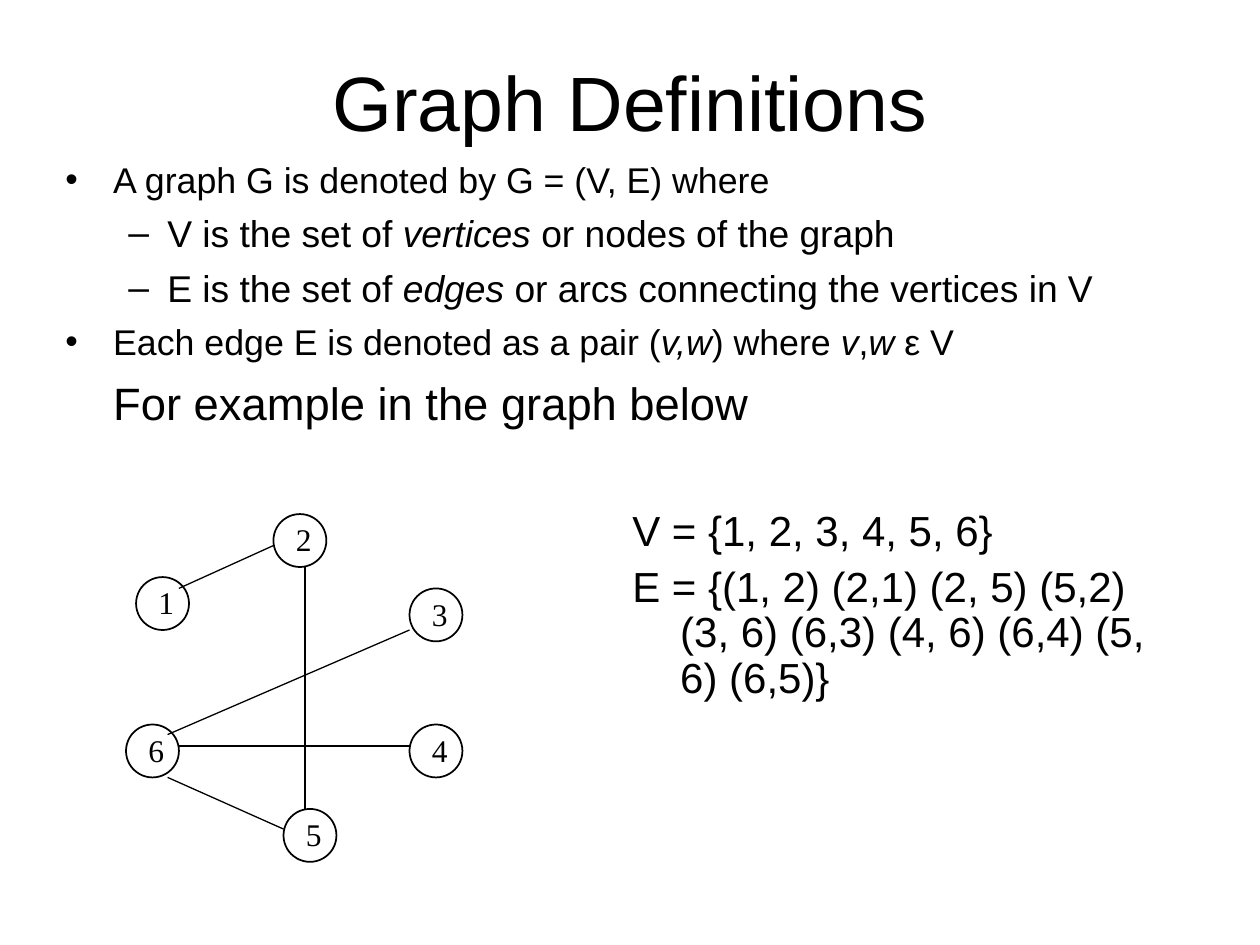
from lxml import etree
from pptx import Presentation
from pptx.dml.color import RGBColor
from pptx.enum.shapes import MSO_CONNECTOR, MSO_SHAPE
from pptx.enum.text import MSO_ANCHOR, PP_ALIGN
from pptx.oxml.ns import qn
from pptx.util import Inches, Pt

COLORS = {"ink": "000000", "background": "FFFFFF"}
NODE_SIZE = 0.42
BULLETS = [
    (0, "•", 20.4, 5.5, ["A graph G is denoted by G = (V, E) where"]),
    (1, "–", 21.3, 5.8, ["V is the set of ", "vertices", " or nodes of the graph"]),
    (1, "–", 21.3, 5.8, ["E is the set of ", "edges", " or arcs connecting the vertices in V"]),
    (0, "•", 20.4, 5.5, ["Each edge E is denoted as a pair (", "v,w", ") where ",
                         "v", ",", "w ", "ε V"]),
    (0, None, 25.9, 7, ["For example in the graph below"]),
]
NODES = {"1": (1.08, 4.58), "2": (2.17, 4.08), "5": (2.25, 6.42),
         "6": (1, 5.75), "4": (3.25, 5.75), "3": (3.25, 4.67)}
EDGES = [
    ((1.42, 4.67), (2.17, 4.33)),
    ((2.42, 4.5), (2.42, 6.42)),
    ((1.42, 5.92), (3.25, 5.92)),
    ((1.33, 6.17), (2.25, 6.58)),
    ((1.33, 5.83), (3.25, 5)),
]
SETS = ["V = {1, 2, 3, 4, 5, 6}",
        "E = {(1, 2) (2,1) (2, 5) (5,2) (3, 6) (6,3) (4, 6) (6,4) (5, 6) (6,5)}"]


def color(name):
    return RGBColor.from_string(COLORS[name])


def add_text_frame(shapes, box):
    tf = shapes.add_textbox(*map(Inches, box)).text_frame
    tf.word_wrap = True
    return tf


def next_paragraph(tf, i):
    return tf.paragraphs[0] if i == 0 else tf.add_paragraph()


def set_font(p, size, name="Arial"):
    p.font.size, p.font.name = Pt(size), name
    p.font.color.rgb = color("ink")


def set_indent(p, left, first, bullet=None):
    pPr = p._p.get_or_add_pPr()
    pPr.set("marL", str(Inches(left)))
    pPr.set("indent", str(Inches(first)))
    if bullet:
        mark = etree.Element(qn("a:buChar"), char=bullet)
        defaults = pPr.find(qn("a:defRPr"))
        defaults.addprevious(etree.Element(qn("a:buFont"), typeface="Arial"))
        defaults.addprevious(mark)


def add_title(s, box):
    tf = add_text_frame(s.shapes, box)
    tf.vertical_anchor = MSO_ANCHOR.MIDDLE
    p = tf.paragraphs[0]
    p.text, p.alignment = "Graph Definitions", PP_ALIGN.CENTER
    set_font(p, 44)


def add_definitions(s, box):
    tf = add_text_frame(s.shapes, box)
    tf.margin_top = 0
    for i, (level, bullet, size, before, parts) in enumerate(BULLETS):
        p = next_paragraph(tf, i)
        p.level, p.space_before = level, Pt(before)
        set_font(p, size)
        left, hang = ((0.38, 0.38), (0.81, 0.31))[level]
        set_indent(p, left, -hang if bullet else 0, bullet)
        for j, part in enumerate(parts):
            r = p.add_run()
            r.text = part
            if j % 2:
                r.font.italic = True


def add_node(shapes, label, left, top):
    sp = shapes.add_shape(MSO_SHAPE.OVAL, *map(Inches, (left, top, NODE_SIZE, NODE_SIZE)))
    sp.shadow.inherit = False
    sp.fill.background()
    sp.line.color.rgb, sp.line.width = color("ink"), Pt(1)
    tf = add_text_frame(shapes, (left + 0.08, top, 0.33, 0.4))
    p = tf.paragraphs[0]
    p.text = label
    set_font(p, 18, "Times New Roman")


def add_edge(shapes, start, end):
    line = shapes.add_connector(MSO_CONNECTOR.STRAIGHT, *map(Inches, start + end))
    line.line.color.rgb, line.line.width = color("ink"), Pt(0.75)
    etree.SubElement(line._element.spPr, qn("a:effectLst"))


def add_graph(s, box):
    shapes = s.shapes.add_group_shape().shapes
    dx, dy = box[0] - 1, box[1] - 4.08
    for label, (x, y) in NODES.items():
        add_node(shapes, label, x + dx, y + dy)
    for edge in EDGES:
        add_edge(shapes, *[(x + dx, y + dy) for x, y in edge])


def add_sets(s, box):
    tf = add_text_frame(s.shapes, box)
    for i, text in enumerate(SETS):
        p = next_paragraph(tf, i)
        p.text, p.line_spacing, p.space_before = text, 0.9, Pt(6)
        set_font(p, 24)
        set_indent(p, 0.38, -0.38)


def main():
    prs = Presentation()
    prs.slide_width, prs.slide_height = Inches(10), Inches(7.5)
    s = prs.slides.add_slide(prs.slide_layouts[6])
    s.background.fill.solid()
    s.background.fill.fore_color.rgb = color("background")
    add_title(s, (0.5, 0.17, 9, 1.25))
    add_definitions(s, (0.42, 1.25, 8.92, 2.61))
    add_graph(s, (1, 4.08, 2.67, 2.76))
    add_sets(s, (4.92, 4, 4.58, 2.25))
    prs.save("out.pptx")


if __name__ == "__main__":
    main()
